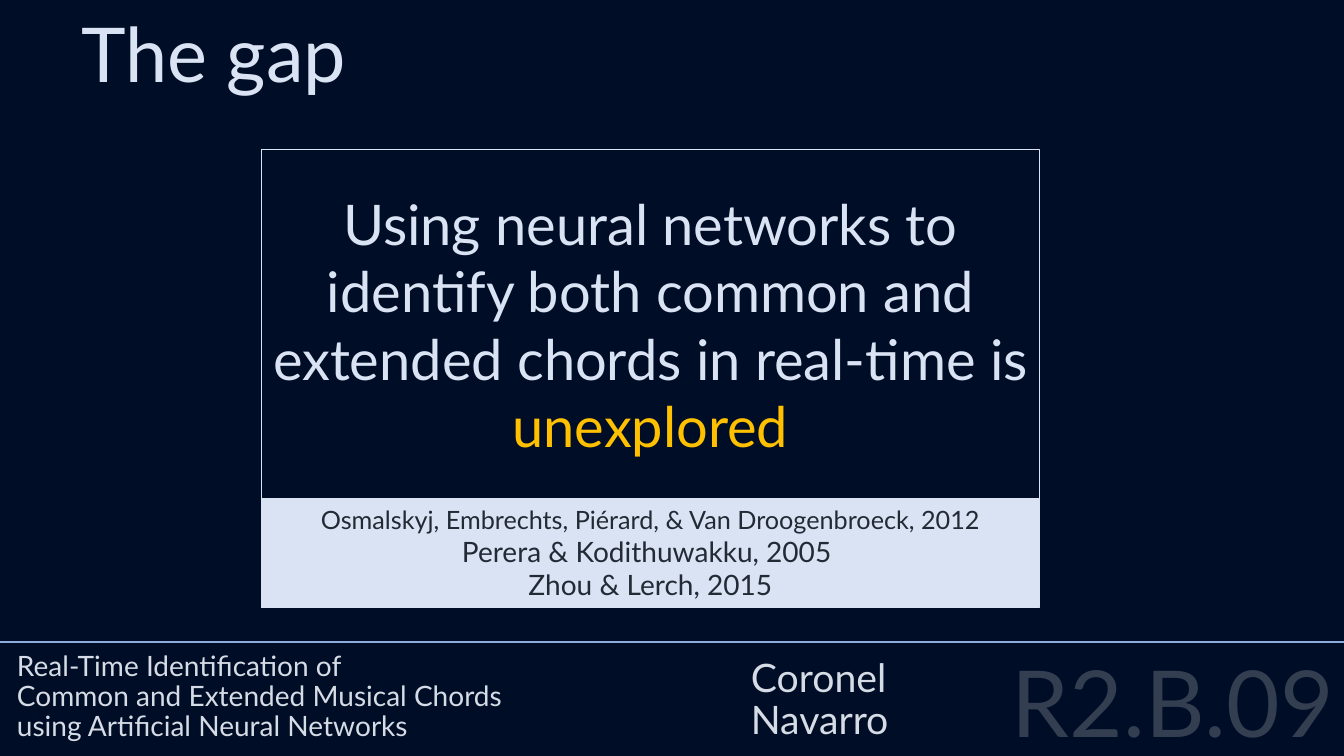
from lxml.etree import SubElement
from pptx import Presentation
from pptx.dml.color import RGBColor
from pptx.enum.shapes import MSO_CONNECTOR, MSO_SHAPE
from pptx.enum.text import MSO_ANCHOR, PP_ALIGN
from pptx.oxml.ns import qn
from pptx.util import Inches, Pt

COLOURS = {
    "night": "000D26", "ice": "DAE3F3", "mist": "D6DCE5", "rule": "8FAADC",
    "slate": "333F50", "ink": "222A35", "gold": "FFC000",
}
FONT = "Lato"
WIDTH, HEIGHT = 13.33, 7.5


def colour(name):
    return RGBColor.from_string(COLOURS[name])


def write(shape, paragraphs, anchor=MSO_ANCHOR.TOP, **layout):
    """Each paragraph is a list of (text, size, colour) spans."""
    frame = shape.text_frame
    frame.word_wrap = True
    frame.vertical_anchor = anchor
    for index, spans in enumerate(paragraphs):
        para = frame.add_paragraph() if index else frame.paragraphs[0]
        for name, value in layout.items():
            setattr(para, name, value)
        for text, size, shade in spans:
            for number, line in enumerate(text.split("\n")):
                if number:
                    para.add_line_break()
                span = para.add_run()
                span.text = line
                for name, value in {"name": FONT, "size": Pt(size)}.items():
                    setattr(span.font, name, value)
                span.font.color.rgb = colour(shade)


def add_text(page, box, paragraphs, **layout):
    shape = page.shapes.add_textbox(*map(Inches, box))
    write(shape, paragraphs, **layout)


def add_panel(page, box, paragraphs, fill=None, **layout):
    panel = page.shapes.add_shape(MSO_SHAPE.RECTANGLE, *map(Inches, box))
    panel.shadow.inherit = False
    if fill:
        panel.fill.solid()
        panel.fill.fore_color.rgb = colour(fill)
    else:
        panel.fill.background()
    panel.line.color.rgb = colour("ice")
    panel.line.width = Pt(0.75)
    write(panel, paragraphs, alignment=PP_ALIGN.CENTER, **layout)


def add_statement(page, box):
    left, top, width, height = box
    sources_height = 1.08
    claim_height = height - sources_height

    # Claim
    add_panel(page, (left, top, width, claim_height), [[
        ("Using neural networks to identify both common and "
         "extended chords in real-time is ", 40, "ice"),
        ("unexplored", 40, "gold"),
    ]], anchor=MSO_ANCHOR.MIDDLE)

    # Sources
    add_panel(page, (left, top + claim_height, width, sources_height), [
        [("Osmalskyj, Embrechts, Piérard, & Van Droogenbroeck, 2012", 18, "ink")],
        [("Perera & Kodithuwakku, 2005 ", 20, "ink")],
        [("Zhou & Lerch, 2015", 20, "ink")],
    ], fill="ice")


def add_footer(page, box):
    left, top, width, height = box

    # Room code
    code_width = 4.87
    add_text(page, (left + width - code_width, top + 0.19, code_width, 1.04),
             [[("R2.B.09", 66, "slate")]], alignment=PP_ALIGN.RIGHT,
             line_spacing=0.8, space_before=Pt(10))

    # Rule
    rule = page.shapes.add_connector(
        MSO_CONNECTOR.STRAIGHT, *map(Inches, (left, top, left + width, top)))
    rule.line.color.rgb = colour("rule")
    rule.line.width = Pt(1.5)
    SubElement(rule._element.spPr, qn("a:effectLst"))

    # Authors and paper title, both resting on the same bottom edge
    text_height = 2.99
    text_top = top + height - 0.08 - text_height
    authors = [[(name, 28, "mist")] for name in ("Coronel", "Navarro")]
    paper = [[("Real-Time Identification of \n"
               "Common and Extended Musical Chords \n"
               "using Artificial Neural Networks", 20, "mist")]]
    for offset, text_width, paragraphs in ((7.35, 5.1, authors),
                                           (0.07, 7.28, paper)):
        add_text(page, (left + offset, text_top, text_width, text_height),
                 paragraphs, anchor=MSO_ANCHOR.BOTTOM, line_spacing=0.9)


def main():
    deck = Presentation()
    deck.slide_width, deck.slide_height = Inches(WIDTH), Inches(HEIGHT)
    page = deck.slides.add_slide(deck.slide_layouts[6])
    page.background.fill.solid()
    page.background.fill.fore_color.rgb = colour("night")

    footer_top = 6.37
    add_footer(page, (0, footer_top, WIDTH, HEIGHT - footer_top))
    add_text(page, (0.71, 0.02, 8.35, 1.01), [[("The gap", 54, "ice")]])
    add_statement(page, (2.59, 1.48, 7.72, 4.55))
    deck.save("out.pptx")


if __name__ == "__main__":
    main()
